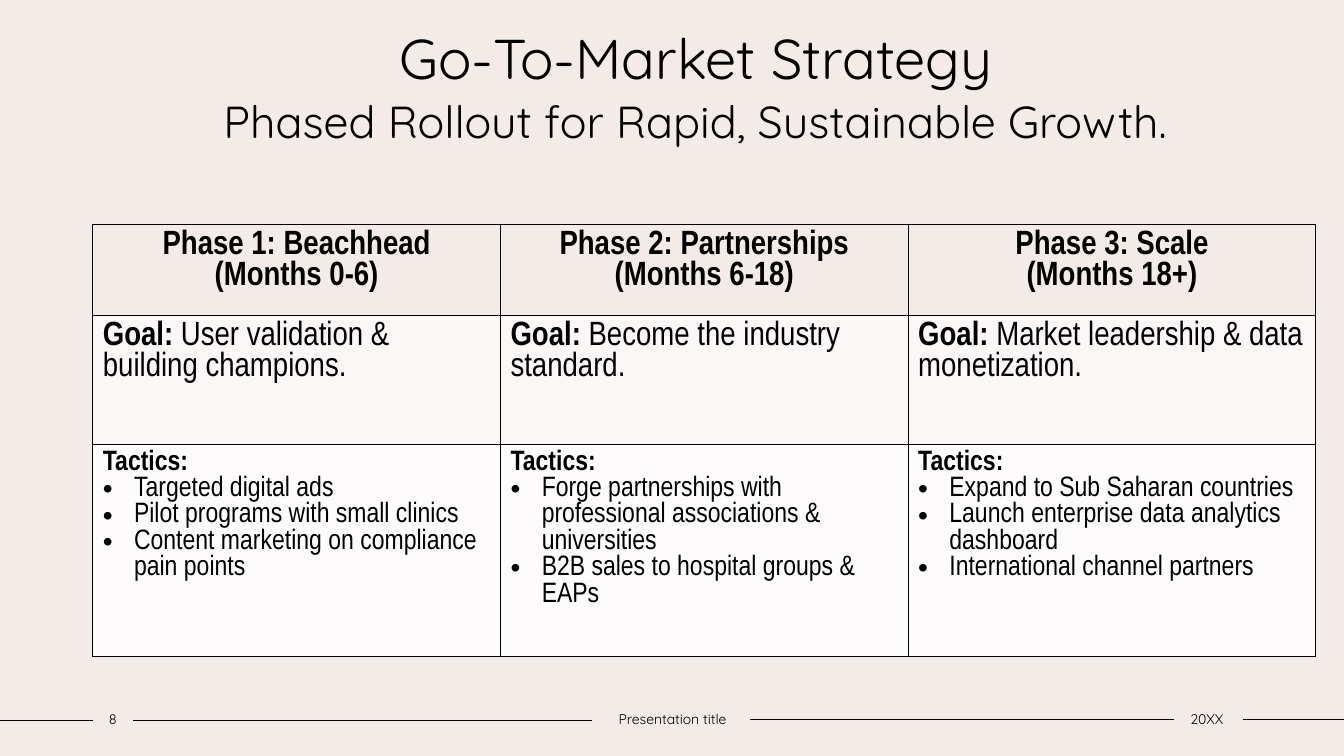
from lxml.etree import SubElement
from pptx import Presentation
from pptx.dml.color import RGBColor
from pptx.enum.shapes import MSO_CONNECTOR
from pptx.enum.text import MSO_ANCHOR, PP_ALIGN
from pptx.oxml.ns import qn
from pptx.util import Inches, Pt

BLACK, BACKDROP = "000000", "F3EBE8"
ROW_FILLS = [BACKDROP, "FAF7F6", "FDFBFB"]
ROW_HEIGHTS = [0.78, 1.28, 1.69]
PHASES = [
    ("Phase 1: Beachhead", "(Months 0-6)", "User validation & building champions.",
     ["Targeted digital ads", "Pilot programs with small clinics",
      "Content marketing on compliance pain points"]),
    ("Phase 2: Partnerships", "(Months 6-18)", "Become the industry standard.",
     ["Forge partnerships with professional associations & universities",
      "B2B sales to hospital groups & EAPs"]),
    ("Phase 3: Scale", "(Months 18+)", "Market leadership & data monetization.",
     ["Expand to Sub Saharan countries", "Launch enterprise data analytics dashboard",
      "International channel partners"]),
]
FOOTER_LINES = [(0, 0.92, 7.15), (1.32, 5.87, 7.15), (7.44, 11.64, 7.14), (12.33, 13.33, 7.14)]
FOOTER_TEXTS = [("8", 0.92, 0.4), ("Presentation title", 5.87, 1.6), ("20XX", 11.62, 0.7)]


def color(value):
    """Turn a hex string into a colour."""
    return RGBColor.from_string(value)


def add_span(para, text, size=24, font="Arial Narrow", bold=False):
    """Append formatted text to a paragraph."""
    span = para.add_run()
    span.text = text
    span.font.size, span.font.name, span.font.bold = Pt(size), font, bold
    span.font.color.rgb = color(BLACK)


def write_centered(frame, text, size):
    """Write one centred line in the heading font."""
    frame.word_wrap = True
    para = frame.paragraphs[0]
    para.alignment = PP_ALIGN.CENTER
    para.line_spacing = 1.0
    add_span(para, text, size=size, font="Quicksand")


def add_heading(page, left, top, width, height):
    """Place the heading line and, below it, the title."""
    box = page.shapes.add_textbox(*map(Inches, (left, top, width, height)))
    write_centered(box.text_frame, "Go-To-Market Strategy", 40)
    title = page.shapes.title
    title.left, title.top, title.width, title.height = map(
        Inches, (left, top + 0.7, width, height))
    title.text_frame.vertical_anchor = MSO_ANCHOR.TOP
    write_centered(title.text_frame, "Phased Rollout for Rapid, Sustainable Growth.", 32)


def add_borders(cell):
    """Draw a thin black line on each side of a cell."""
    properties = cell._tc.get_or_add_tcPr()
    for index, side in enumerate(("lnL", "lnR", "lnT", "lnB")):
        line = properties.makeelement(qn(f"a:{side}"), {"w": str(Pt(1))})
        fill = SubElement(line, qn("a:solidFill"))
        SubElement(fill, qn("a:srgbClr"), val=BLACK)
        properties.insert(index, line)


def add_bullet(para):
    """Give a paragraph a hanging round bullet."""
    properties = para._p.get_or_add_pPr()
    properties.set("marL", str(Inches(0.31)))
    properties.set("indent", str(-Inches(0.31)))
    SubElement(properties, qn("a:buFont"), typeface="Arial")
    SubElement(properties, qn("a:buChar"), char="•")


def fill_phase(cells, name, months, goal, tactics):
    """Write one phase into its header, goal and tactics cells."""
    header, aim, actions = (cell.text_frame for cell in cells)
    for para, text in ((header.paragraphs[0], name), (header.add_paragraph(), months)):
        para.alignment = PP_ALIGN.CENTER
        add_span(para, text, bold=True)
    add_span(aim.paragraphs[0], "Goal: ", bold=True)
    add_span(aim.paragraphs[0], goal)
    add_span(actions.paragraphs[0], "Tactics:", size=20, bold=True)
    for tactic in tactics:
        para = actions.add_paragraph()
        add_bullet(para)
        add_span(para, tactic, size=20)


def add_phase_table(page, left, top, width):
    """Place the table with one column for each phase."""
    table = page.shapes.add_table(
        len(ROW_HEIGHTS), len(PHASES), Inches(left), Inches(top),
        Inches(width), Inches(sum(ROW_HEIGHTS))).table
    table.horz_banding = table.first_row = False
    for row, height, fill in zip(table.rows, ROW_HEIGHTS, ROW_FILLS):
        row.height = Inches(height)
        for cell in row.cells:
            cell.fill.solid()
            cell.fill.fore_color.rgb = color(fill)
            add_borders(cell)
    for column, phase in enumerate(PHASES):
        cells = [table.cell(row, column) for row in range(len(ROW_HEIGHTS))]
        fill_phase(cells, *phase)


def add_footer(page, top, height):
    """Place the footer texts and the lines between them."""
    for start, end, level in FOOTER_LINES:
        line = page.shapes.add_connector(
            MSO_CONNECTOR.STRAIGHT, *map(Inches, (start, level, end, level)))
        line.line.color.rgb = color(BLACK)
        line.line.width = Pt(1)
        SubElement(line._element.spPr, qn("a:effectLst"))
    for text, left, width in FOOTER_TEXTS:
        box = page.shapes.add_textbox(*map(Inches, (left, top, width, height)))
        frame = box.text_frame
        frame.margin_left = frame.margin_right = 0
        frame.vertical_anchor = MSO_ANCHOR.MIDDLE
        write_centered(frame, text, 10)


def main():
    """Build and save the deck."""
    deck = Presentation()
    deck.slide_width, deck.slide_height = Inches(13.33), Inches(7.5)
    page = deck.slides.add_slide(deck.slide_layouts[5])
    page.background.fill.solid()
    page.background.fill.fore_color.rgb = color(BACKDROP)
    add_heading(page, 1.48, 0.18, 10.84, 0.69)
    add_phase_table(page, 0.92, 2.23, 12.13)
    add_footer(page, 7, 0.27)
    deck.save("out.pptx")


if __name__ == "__main__":
    main()
